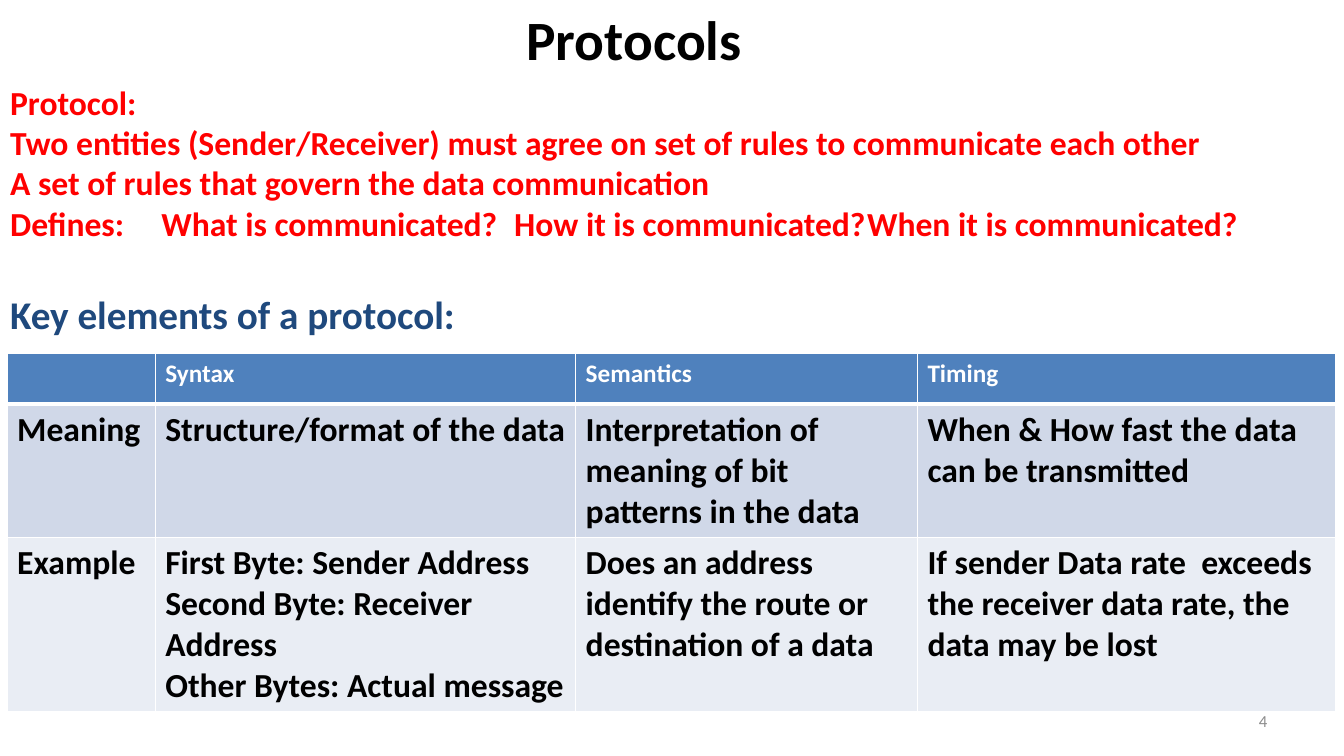
from lxml.etree import SubElement
from pptx import Presentation
from pptx.dml.color import RGBColor
from pptx.enum.text import MSO_ANCHOR, MSO_AUTO_SIZE, PP_ALIGN
from pptx.oxml.ns import qn
from pptx.util import Inches, Pt

# Content
TITLE = "Protocols "
PAGE_NUMBER = "4"
DEFINITION = [
    "Protocol:",
    "Two entities (Sender/Receiver) must agree on set of rules to communicate each other",
    "A set of rules that govern the data communication",
    "Defines:\tWhat is communicated?\tHow it is communicated?\tWhen it is communicated?",
]
KEY_HEADING = "Key elements of a protocol:"
KEY_ELEMENTS = [
    ["", "Syntax", "Semantics", "Timing"],
    ["Meaning", "Structure/format of the data",
     "Interpretation of meaning of bit patterns in the data",
     "When & How fast the data can be transmitted"],
    ["Example",
     "First Byte: Sender Address\nSecond Byte: Receiver Address\nOther Bytes: Actual message",
     "Does an address identify the route or destination of a data",
     "If sender Data rate  exceeds the receiver data rate, the data may be lost"],
]

# Layout in inches: left, top, width, height
SLIDE_WIDTH, SLIDE_HEIGHT = 13.33, 7.5
TITLE_BOX = (1.86, 0, 8.98, 0.76)
BODY_BOX = (0, 0.76, SLIDE_WIDTH, 2.75)
NUMBER_BOX = (9.56, 6.95, 3.11, 0.4)
TABLE_ORIGIN = (0.07, 3.51)
COLUMN_WIDTHS = (1.47, 4.17, 3.39, 4.15)
ROW_HEIGHTS = (0.5, 1.3, 1.7)
DEFINES_TABS = (1.43, 5.07, 9.01)

# Theme: type styles and colours
THEME = {
    "title": {"size": 39.6, "color": "000000", "bold": True},
    "definition": {"size": 24, "color": "FF0000", "bold": True},
    "heading": {"size": 28, "color": "1F497D", "bold": True},
    "header": {"size": 18, "color": "FFFFFF", "bold": True},
    "cell": {"size": 24, "color": "000000", "bold": True},
    "number": {"size": 12, "color": "8C8C8C", "bold": False},
    "row_fills": ("4F81BD", "D0D8E8", "E9EDF4"),
    "border": "FFFFFF",
}


def style_paragraph(paragraph, style_name, **formats):
    style = THEME[style_name]
    font_values = {"name": "Calibri", "size": Pt(style["size"]), "bold": style["bold"]}
    for run in paragraph.runs:
        for name, value in font_values.items():
            setattr(run.font, name, value)
        run.font.color.rgb = RGBColor.from_string(style["color"])
    for name, value in formats.items():
        setattr(paragraph, name, value)


def place(shape, box, anchor):
    for name, value in zip(("left", "top", "width", "height"), box):
        setattr(shape, name, Inches(value))
    frame_values = {"word_wrap": True, "auto_size": MSO_AUTO_SIZE.NONE,
                    "vertical_anchor": anchor}
    for name, value in frame_values.items():
        setattr(shape.text_frame, name, value)


def remove_bullet(paragraph, tabs=()):
    properties = paragraph._p.get_or_add_pPr()
    properties.set("marL", "0")
    properties.set("indent", "0")
    SubElement(properties, qn("a:buNone"))
    if tabs:
        tab_list = SubElement(properties, qn("a:tabLst"))
        for position in tabs:
            SubElement(tab_list, qn("a:tab"), pos=str(Inches(position)), algn="l")


def add_borders(cell, row_index):
    properties = cell._tc.get_or_add_tcPr()
    widths = {"L": 1, "R": 1, "T": 3 if row_index == 1 else 1,
              "B": 3 if row_index == 0 else 1}
    for side, width in widths.items():
        line = SubElement(properties, qn(f"a:ln{side}"), w=str(Pt(width)))
        fill = SubElement(line, qn("a:solidFill"))
        SubElement(fill, qn("a:srgbClr"), val=THEME["border"])


def add_key_elements(slide):
    left, top = TABLE_ORIGIN
    table = slide.shapes.add_table(
        len(ROW_HEIGHTS), len(COLUMN_WIDTHS), Inches(left), Inches(top),
        Inches(sum(COLUMN_WIDTHS)), Inches(sum(ROW_HEIGHTS))).table
    for column, width in zip(table.columns, COLUMN_WIDTHS):
        column.width = Inches(width)
    for row_index, (row, height) in enumerate(zip(table.rows, ROW_HEIGHTS)):
        row.height = Inches(height)
        for cell, text in zip(row.cells, KEY_ELEMENTS[row_index]):
            cell.text = text
            for paragraph in cell.text_frame.paragraphs:
                style_paragraph(paragraph, "cell" if row_index else "header")
            add_borders(cell, row_index)
            cell.fill.solid()
            cell.fill.fore_color.rgb = RGBColor.from_string(THEME["row_fills"][row_index])


def main():
    presentation = Presentation()
    presentation.slide_width = Inches(SLIDE_WIDTH)
    presentation.slide_height = Inches(SLIDE_HEIGHT)
    slide = presentation.slides.add_slide(presentation.slide_layouts[1])

    # Title
    title = slide.shapes.title
    place(title, TITLE_BOX, MSO_ANCHOR.MIDDLE)
    title.text_frame.text = TITLE
    style_paragraph(title.text_frame.paragraphs[0], "title", alignment=PP_ALIGN.CENTER)

    # Definition and heading of the table
    body = slide.placeholders[1]
    place(body, BODY_BOX, MSO_ANCHOR.TOP)
    body.text_frame.text = "\n".join(DEFINITION + [KEY_HEADING])
    *definition, heading = body.text_frame.paragraphs
    for paragraph in definition:
        style_paragraph(paragraph, "definition", space_before=Pt(0))
        remove_bullet(paragraph, DEFINES_TABS if "\t" in paragraph.text else ())
    style_paragraph(heading, "heading", space_before=Pt(34))
    remove_bullet(heading)

    add_key_elements(slide)

    # Page number
    number = slide.shapes.add_textbox(0, 0, 0, 0)
    place(number, NUMBER_BOX, MSO_ANCHOR.MIDDLE)
    number.text_frame.text = PAGE_NUMBER
    style_paragraph(number.text_frame.paragraphs[0], "number", alignment=PP_ALIGN.RIGHT)

    presentation.save("out.pptx")


if __name__ == "__main__":
    main()
